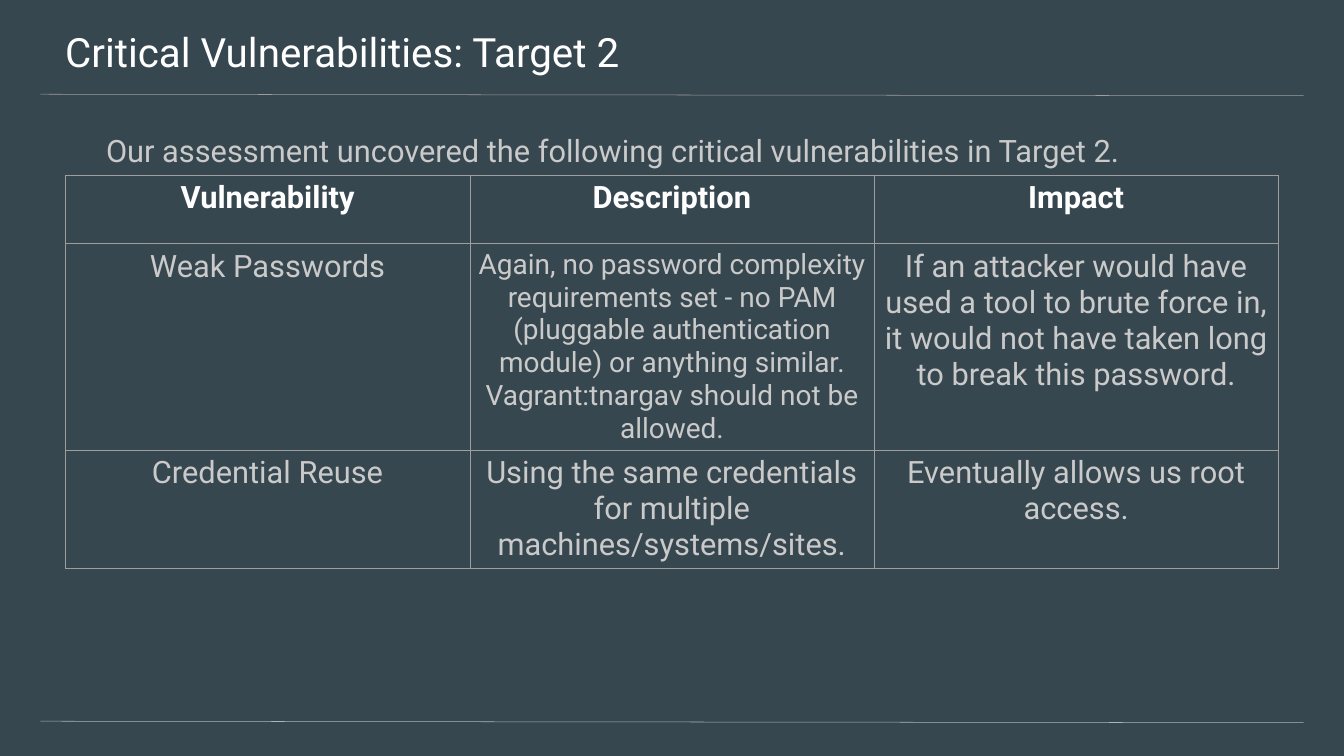
from lxml.etree import SubElement
from pptx import Presentation
from pptx.dml.color import RGBColor
from pptx.enum.shapes import MSO_CONNECTOR
from pptx.enum.text import MSO_ANCHOR, MSO_AUTO_SIZE, PP_ALIGN
from pptx.oxml.ns import qn
from pptx.util import Pt

TITLE = "Critical Vulnerabilities: Target 2"
INTRO = "Our assessment uncovered the following critical vulnerabilities in Target 2."
HEADERS = ["Vulnerability", "Description", "Impact"]
FINDINGS = [
    ["Weak Passwords",
     "Again, no password complexity requirements set - no PAM (pluggable authentication module) "
     "or anything similar. Vagrant:tnargav should not be allowed.",
     "If an attacker would have used a tool to brute force in, it would not have taken long "
     "to break this password."],
    ["Credential Reuse",
     "Using the same credentials for multiple machines/systems/sites.",
     "Eventually allows us root access."],
]
COLORS = {"background": "37474F", "heading": "FFFFFF", "body": "CACACA",
          "grid": "9E9E9E", "footer": "A9B7C0"}
FONT = "Roboto"
BODY_SIZE, LONG_SIZE, LONG_TEXT = 44, 40, 120
RULES = [(134.64, "grid"), (1030.32, "footer")]
RULE_LEFT, RULE_RIGHT, RULE_DROP = 57.6, 1861.92, 2.16
TABLE_LEFT, TABLE_TOP, TABLE_HEIGHT = 93.6, 250.56, 236.16
COLUMN_WIDTH, ROW_HEIGHT = 577.44, 97.2
CELL_MARGIN, LINE_WIDTH = 7.2, 0.75


def rgb(name):
    return RGBColor.from_string(COLORS[name])


def style(paragraph, size, color, bold=False):
    for run in paragraph.runs:
        run.font.name = FONT
        run.font.size = Pt(size)
        run.font.bold = bold
        run.font.color.rgb = rgb(color)


def set_margins(target, left, top, right, bottom):
    target.margin_left, target.margin_top = Pt(left), Pt(top)
    target.margin_right, target.margin_bottom = Pt(right), Pt(bottom)


def add_text(slide, text, box, margins, size, color):
    frame = slide.shapes.add_textbox(*map(Pt, box)).text_frame
    frame.word_wrap = True
    frame.auto_size = MSO_AUTO_SIZE.NONE
    frame.vertical_anchor = MSO_ANCHOR.TOP
    set_margins(frame, *margins)
    frame.text = text
    style(frame.paragraphs[0], size, color)
    return frame.paragraphs[0]


def add_rule(slide, top, color):
    rule = slide.shapes.add_connector(
        MSO_CONNECTOR.STRAIGHT, Pt(RULE_LEFT), Pt(top), Pt(RULE_RIGHT), Pt(top + RULE_DROP))
    rule.line.color.rgb = rgb(color)
    rule.line.width = Pt(LINE_WIDTH)
    SubElement(rule._element.spPr, qn("a:effectLst"))


def add_borders(cell):
    properties = cell._tc.get_or_add_tcPr()
    for position, side in enumerate(("a:lnL", "a:lnR", "a:lnT", "a:lnB")):
        border = SubElement(properties, qn(side), w=str(Pt(LINE_WIDTH)))
        properties.insert(position, border)
        fill = SubElement(border, qn("a:solidFill"))
        SubElement(fill, qn("a:srgbClr"), val=COLORS["grid"])


def add_findings(slide):
    rows = [HEADERS] + FINDINGS
    holder = slide.shapes.add_table(
        len(rows), len(HEADERS), Pt(TABLE_LEFT), Pt(TABLE_TOP),
        Pt(COLUMN_WIDTH * len(HEADERS)), Pt(TABLE_HEIGHT))
    table = holder.table
    table.horz_banding = False
    for column in table.columns:
        column.width = Pt(COLUMN_WIDTH)
    for r, texts in enumerate(rows):
        table.rows[r].height = Pt(ROW_HEIGHT)
        for c, text in enumerate(texts):
            cell = table.cell(r, c)
            cell.fill.background()
            set_margins(cell, *[CELL_MARGIN] * 4)
            cell.vertical_anchor = MSO_ANCHOR.TOP
            cell.text_frame.text = text
            paragraph = cell.text_frame.paragraphs[0]
            paragraph.alignment = PP_ALIGN.CENTER
            size = LONG_SIZE if len(text) > LONG_TEXT else BODY_SIZE
            style(paragraph, size, "body" if r else "heading", bold=r == 0)
            add_borders(cell)
    holder.height = Pt(TABLE_HEIGHT)


def main():
    deck = Presentation()
    deck.slide_width, deck.slide_height = Pt(1919.52), Pt(1080)
    slide = deck.slides.add_slide(deck.slide_layouts[6])
    slide.background.fill.solid()
    slide.background.fill.fore_color.rgb = rgb("background")
    for top, color in RULES:
        add_rule(slide, top, color)
    add_text(slide, TITLE, (-2.88, 0, 1924.56, 112.32), (96, 38.4, 57.6, 19.2), 57.6, "heading")
    intro = add_text(slide, INTRO, (55.44, 180.72, 1806.48, 776.88), (96, 0, 96, 192),
                     BODY_SIZE, "body")
    intro.line_spacing = 1.15
    add_findings(slide)
    deck.save("out.pptx")


if __name__ == "__main__":
    main()
